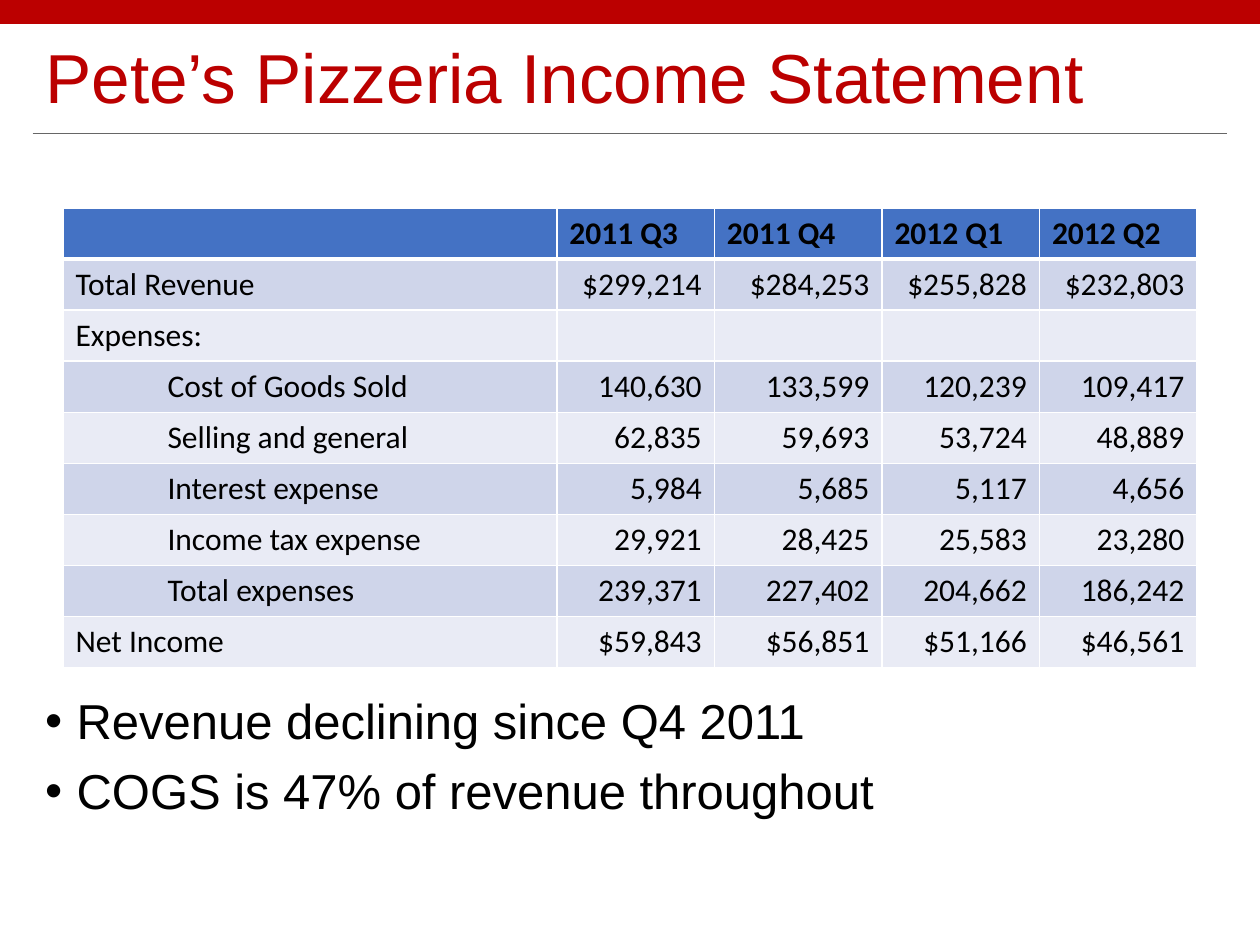
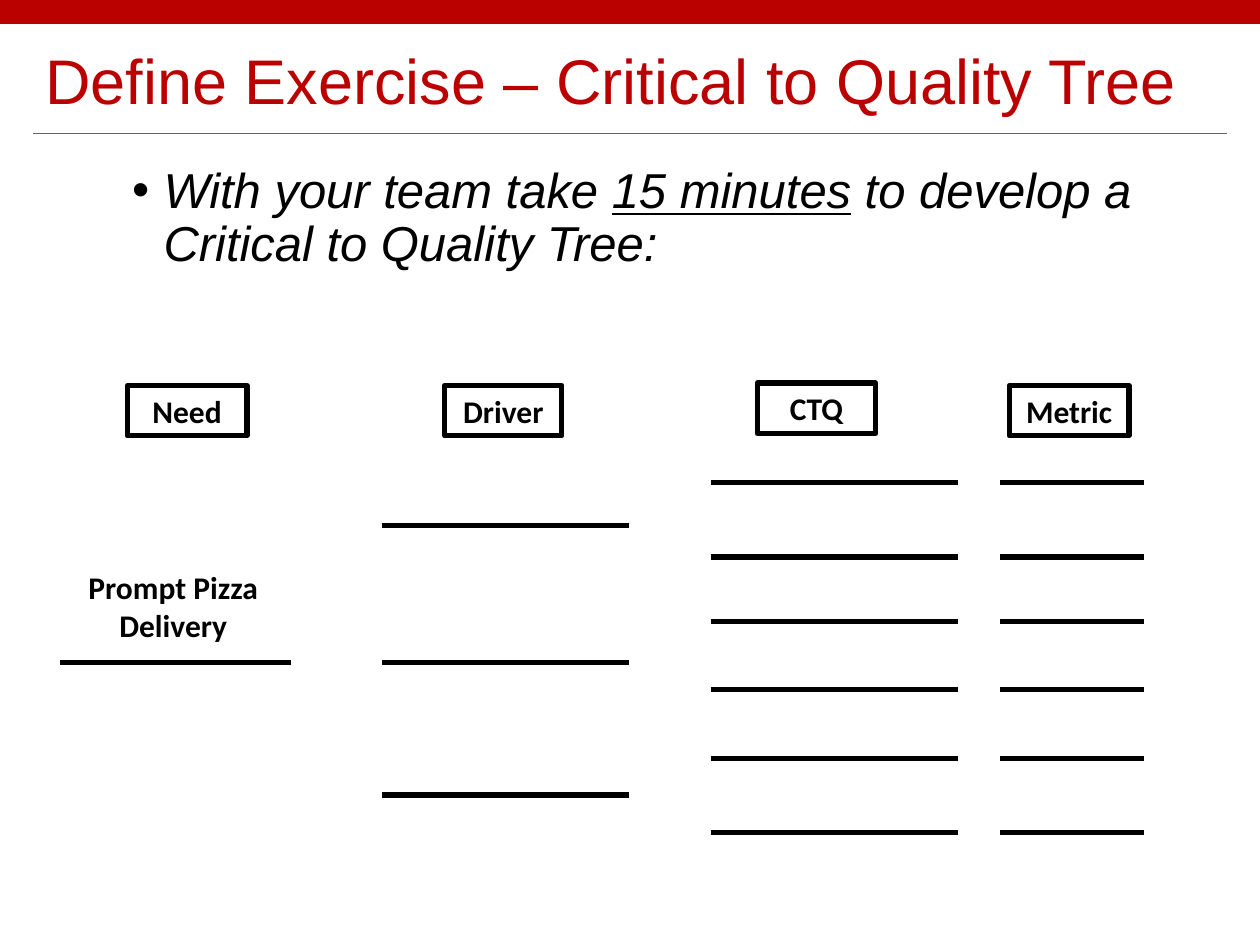
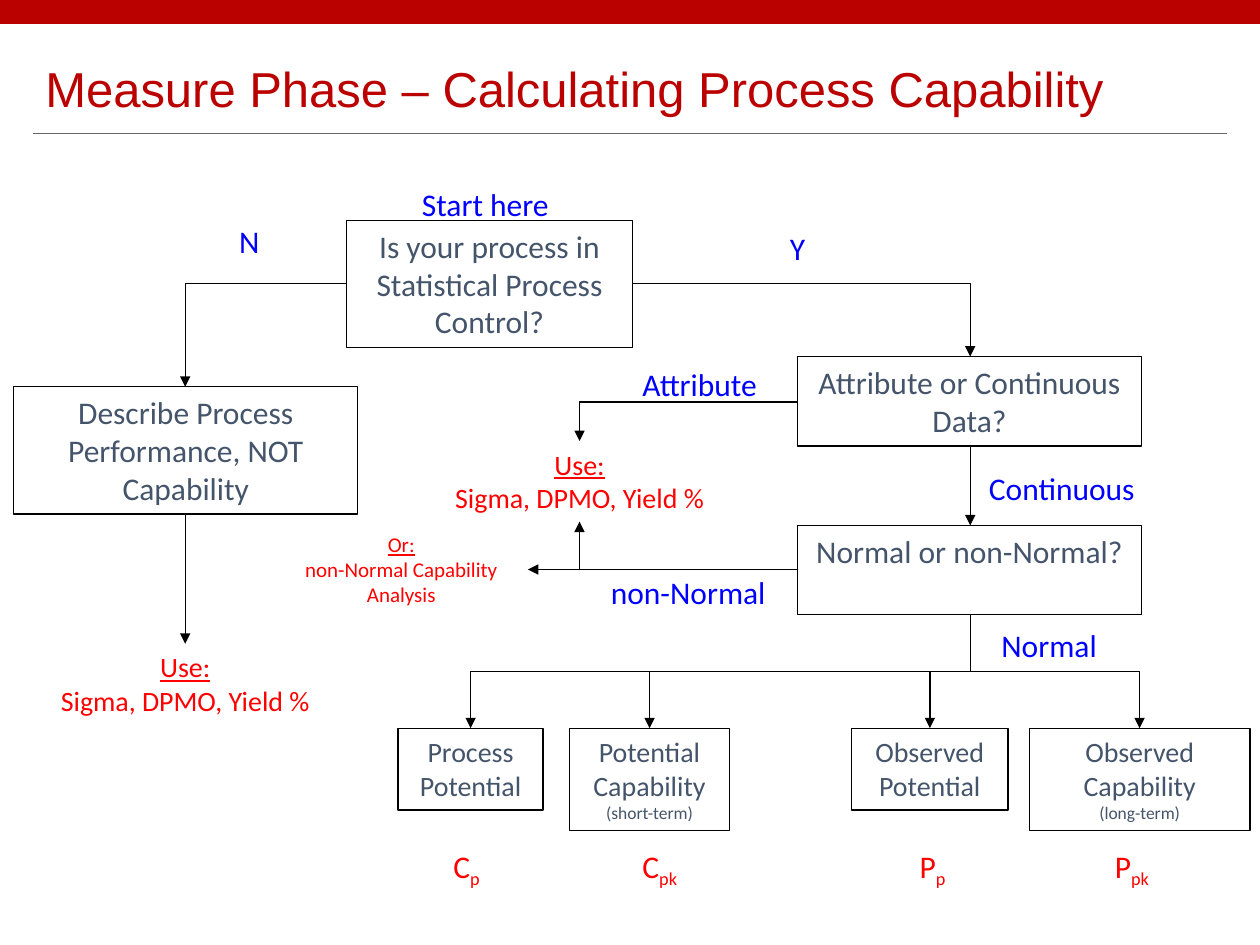
from dataclasses import dataclass
from typing import NamedTuple

from lxml import etree
from pptx import Presentation
from pptx import util as u
from pptx.dml.color import RGBColor
from pptx.enum import shapes, text
from pptx.oxml.ns import qn

# Grid: 100 columns by 75 rows on a 10 by 7.5 inch slide
WIDTH, HEIGHT = u.Inches(10), u.Inches(7.5)
COLS, ROWS = 100, 75

# Shared style
RED, RULE, BLACK, WHITE = "BB0000", "666666", "000000", "FFFFFF"
SLATE, BLUE, ALERT = "44546A", "0000FF", "FF0000"
HEADER, BANDS = "4472C4", ("CFD5EA", "E9EBF5")
HEAD_FONT, BODY_FONT = "Arial", "Calibri"
LEFT, CENTER, RIGHT = text.PP_ALIGN.LEFT, text.PP_ALIGN.CENTER, text.PP_ALIGN.RIGHT


class Box(NamedTuple):
    left: float
    top: float
    width: float
    height: float


class Point(NamedTuple):
    x: float
    y: float


@dataclass
class Run:
    text: str
    size: float | None = None
    underline: bool = False
    sub: bool = False


@dataclass
class Label:
    box: Box
    lines: list
    size: float = 18
    color: str = BLUE
    align: text.PP_ALIGN = LEFT


@dataclass
class TreeColumn:
    name: str
    box: Box
    line_left: float
    line_width: float
    rows: tuple


def col(n: float) -> int:
    return round(WIDTH * n / COLS)


def row(n: float) -> int:
    return round(HEIGHT * n / ROWS)


def place(box: Box) -> tuple:
    return col(box.left), row(box.top), col(box.width), row(box.height)


def rgb(color: str) -> RGBColor:
    return RGBColor.from_string(color)


# Text
def add_bullet(p) -> None:
    pPr = p._p.get_or_add_pPr()
    pPr.set("marL", str(u.Inches(0.25)))
    pPr.set("indent", str(-u.Inches(0.25)))
    etree.SubElement(pPr, qn("a:buFont")).set("typeface", HEAD_FONT)
    etree.SubElement(pPr, qn("a:buChar")).set("char", "•")


def write(tf, lines: list, *, size: float = 18, color: str = BLACK, font: str = BODY_FONT,
          bold: bool = False, italic: bool = False, align=LEFT, bullet: bool = False,
          spacing: float | None = None, before: float = 0) -> None:
    """Write each line, a string or a list of runs, as one paragraph."""
    for i, line in enumerate(lines):
        p = tf.add_paragraph() if i else tf.paragraphs[0]
        p.alignment = align
        if bullet:
            add_bullet(p)
        if spacing:
            p.line_spacing = spacing
        if i and before:
            p.space_before = u.Pt(before)
        for part in [Run(line)] if isinstance(line, str) else line:
            r = p.add_run()
            r.text = part.text
            f = r.font
            f.name, f.size, f.color.rgb = font, u.Pt(part.size or size), rgb(color)
            f.bold, f.italic, f.underline = bold, italic, part.underline
            if part.sub:
                f._element.set("baseline", "-25000")


def add_text(s, box: Box, lines: list, **fmt) -> None:
    tf = s.shapes.add_textbox(*place(box)).text_frame
    tf.word_wrap = True
    write(tf, lines, **fmt)


def add_bullets(s, box: Box, lines: list, **fmt) -> None:
    add_text(s, box, lines, size=28, font=HEAD_FONT, bullet=True, spacing=0.9, before=10, **fmt)


# Shapes and lines
def add_frame(s, box: Box, lines: list, weight: float, **fmt) -> None:
    sp = s.shapes.add_shape(shapes.MSO_SHAPE.RECTANGLE, *place(box))
    sp.shadow.inherit = False
    sp.fill.background()
    sp.line.color.rgb, sp.line.width = rgb(BLACK), u.Pt(weight)
    tf = sp.text_frame
    tf.word_wrap, tf.vertical_anchor = True, text.MSO_ANCHOR.TOP
    write(tf, lines, align=CENTER, **fmt)


def add_line(s, a: Point, b: Point, *, color: str = BLACK, weight: float = 0.75,
             arrow: bool = False, kind=shapes.MSO_CONNECTOR.STRAIGHT):
    c = s.shapes.add_connector(kind, col(a.x), row(a.y), col(b.x), row(b.y))
    c.line.color.rgb, c.line.width = rgb(color), u.Pt(weight)
    spPr = c._element.spPr
    if arrow:
        etree.SubElement(spPr.find(qn("a:ln")), qn("a:tailEnd")).set("type", "triangle")
    etree.SubElement(spPr, qn("a:effectLst"))
    return c


def add_corner(s, a: Point, b: Point) -> None:
    """Arrow that runs across, then up or down."""
    c = add_line(s, a, b, arrow=True, kind=shapes.MSO_CONNECTOR.ELBOW)
    c._element.spPr.find(qn("a:prstGeom")).set("prst", "bentConnector2")


def add_branch(s, a: Point, b: Point) -> None:
    """Arrow that runs down, across at half height, and down again."""
    mid = Point((a.x + b.x) / 2, (a.y + b.y) / 2)
    drop, side = (b.y - a.y) / 2, (a.x - b.x) / 2
    c = add_line(s, Point(mid.x - drop, mid.y - side), Point(mid.x + drop, mid.y + side),
                 arrow=True, kind=shapes.MSO_CONNECTOR.ELBOW)
    c._element.spPr.find(qn("a:xfrm")).set("rot", str(90 * 60000))


# Slide frame: band, rule and title
def new_slide(prs, title: str, size: float):
    s = prs.slides.add_slide(prs.slide_layouts[5])
    add_line(s, Point(2.6, 10.6), Point(97.4, 10.6), color=RULE, weight=0.5)
    band = s.shapes.add_shape(shapes.MSO_SHAPE.RECTANGLE, *place(Box(0, 0, COLS, 1.9)))
    band.shadow.inherit = False
    band.fill.solid()
    band.fill.fore_color.rgb = rgb(RED)
    band.line.fill.background()
    sp = s.shapes.title
    sp.left, sp.top, sp.width, sp.height = place(Box(2.6, 2.6, 94.9, 7.3))
    tf = sp.text_frame
    tf.auto_size, tf.vertical_anchor = text.MSO_AUTO_SIZE.NONE, text.MSO_ANCHOR.BOTTOM
    write(tf, [title], size=size, color=RED, font=HEAD_FONT, spacing=0.9)
    return s


# Slide 1: income statement
QUARTERS = ("", "2011 Q3", "2011 Q4", "2012 Q1", "2012 Q2")
STATEMENT = (
    ("Total Revenue", "$299,214", "$284,253", "$255,828", "$232,803"),
    ("Expenses:", "", "", "", ""),
    ("Cost of Goods Sold", "140,630", "133,599", "120,239", "109,417"),
    ("Selling and general", "62,835", "59,693", "53,724", "48,889"),
    ("Interest expense", "5,984", "5,685", "5,117", "4,656"),
    ("Income tax expense", "29,921", "28,425", "25,583", "23,280"),
    ("Total expenses", "239,371", "227,402", "204,662", "186,242"),
    ("Net Income", "$59,843", "$56,851", "$51,166", "$46,561"),
)
EXPENSE_ROWS = range(3, 8)
TABLE_COLS = (39.2, 12.5, 13.3, 12.5, 12.5)


def style_cell(cell, fill: str, bottom: float) -> None:
    tcPr = cell._tc.get_or_add_tcPr()
    for side, weight in (("L", 1), ("R", 1), ("T", 1), ("B", bottom)):
        ln = etree.SubElement(tcPr, qn(f"a:ln{side}"), w=str(u.Pt(weight)))
        solid = etree.SubElement(ln, qn("a:solidFill"))
        etree.SubElement(solid, qn("a:srgbClr")).set("val", WHITE)
    cell.fill.solid()
    cell.fill.fore_color.rgb = rgb(fill)


def income_slide(prs) -> None:
    s = new_slide(prs, "Pete’s Pizzeria Income Statement", 39.6)
    add_bullets(s, Box(2.6, 54.8, 94.9, 11.5),
                ["Revenue declining since Q4 2011", "COGS is 47% of revenue throughout"])
    data = (QUARTERS, *STATEMENT)
    box = Box(5, 16.5, sum(TABLE_COLS), 36.5)
    table = s.shapes.add_table(len(data), len(QUARTERS), *place(box)).table
    table.horz_banding = False
    for column, width in zip(table.columns, TABLE_COLS):
        column.width = col(width)
    for i, values in enumerate(data):
        for j, value in enumerate(values):
            cell = table.cell(i, j)
            style_cell(cell, BANDS[(i - 1) % 2] if i else HEADER, 1 if i else 3)
            if i in EXPENSE_ROWS and j == 0:
                cell.margin_left = col(8.3)
            if value:
                write(cell.text_frame, [value], bold=i == 0, align=RIGHT if i and j else LEFT)


# Slide 2: critical to quality tree
CTQ_ROWS = (38.3, 44.2, 49.3, 54.7, 60.2, 66.1)
TREE = (
    TreeColumn("Need", Box(10.1, 30.6, 9.5, 4), 4.8, 18.3, (52.6,)),
    TreeColumn("Driver", Box(35.3, 30.6, 9.3, 4), 30.3, 19.6, (41.7, 52.6, 63.1)),
    TreeColumn("CTQ", Box(60.1, 30.4, 9.4, 4), 56.4, 19.6, CTQ_ROWS),
    TreeColumn("Metric", Box(80.1, 30.6, 9.5, 4), 79.4, 11.4, CTQ_ROWS),
)


def tree_slide(prs) -> None:
    s = new_slide(prs, "Define Exercise – Critical to Quality Tree", 36)
    task = [Run("With your team take "), Run("15 minutes", underline=True),
            Run(" to develop a Critical to Quality Tree:")]
    add_bullets(s, Box(9.5, 12.7, 90, 49.5), [task], italic=True)
    for column in TREE:
        add_frame(s, column.box, [column.name], 3, bold=True)
        for y in column.rows:
            add_line(s, Point(column.line_left, y),
                     Point(column.line_left + column.line_width, y), weight=3)
    add_text(s, Box(4.8, 44.6, 17.9, 7.1), ["Prompt Pizza", "Delivery"], bold=True, align=CENTER)


# Slide 3: process capability flow
QUESTIONS = (
    (Box(27.5, 17.5, 22.7, 10.1), "Is your process in Statistical Process Control?"),
    (Box(1.1, 30.7, 27.3, 10.1), "Describe Process Performance, NOT Capability"),
    (Box(63.3, 28.3, 27.3, 7.1), "Attribute or Continuous Data?"),
    (Box(63.3, 41.7, 27.3, 7.1), "Normal or non-Normal?"),
)
INDEX_TOP = 57.8
INDICES = (
    (Box(31.6, INDEX_TOP, 11.5, 6.5), ["Process", "Potential"]),
    (Box(45.2, INDEX_TOP, 12.7, 8.1), ["Potential", "Capability", [Run("(short-term)", 10)]]),
    (Box(67.6, INDEX_TOP, 12.4, 6.5), ["Observed", "Potential"]),
    (Box(81.7, INDEX_TOP, 17.5, 8.1), ["Observed", "Capability", [Run("(long-term)", 10)]]),
)
SYMBOLS = (("C", "p", 35, 4.8), ("C", "pk", 50, 5.8), ("P", "p", 72, 4.7), ("P", "pk", 87.5, 5.6))
USE = [[Run("Use:", underline=True)], "Sigma, DPMO, Yield %"]
OR = [[Run("Or:", underline=True)], "non-Normal Capability", "Analysis"]
LABELS = (
    Label(Box(32.5, 14.2, 13.7, 4), ["Start here"]),
    Label(Box(18, 17.1, 3.8, 4), ["N"]),
    Label(Box(61.7, 17.7, 3.7, 4), ["Y"]),
    Label(Box(50, 28.5, 12.4, 4), ["Attribute"]),
    Label(Box(77.5, 36.7, 15.9, 4), ["Continuous"]),
    Label(Box(47.5, 45, 16, 4), ["non-Normal"]),
    Label(Box(78.5, 49.2, 10.6, 4), ["Normal"]),
    Label(Box(1.8, 51.1, 25.8, 6.4), USE, 16, ALERT, CENTER),
    Label(Box(33.1, 35, 25.8, 6.4), USE, 16, ALERT, CENTER),
    Label(Box(21.7, 41.7, 20.3, 7), OR, 12, ALERT, CENTER),
    *(Label(Box(x, 66.7, width, 4), [[Run(base), Run(sub, sub=True)]], color=ALERT)
      for base, sub, x, width in SYMBOLS),
)
CORNERS = (
    (Point(27.5, 22.5), Point(14.7, 30.7)),
    (Point(50.2, 22.5), Point(77, 28.3)),
    (Point(63.3, 31.9), Point(46, 35)),
    (Point(63.3, 45.2), Point(46, 41.4)),
)
ARROWS = (
    (Point(77, 35.5), Point(77, 41.7)),
    (Point(14.7, 40.8), Point(14.7, 51.1)),
    (Point(63.3, 45.2), Point(41.9, 45.2)),
)


def capability_slide(prs) -> None:
    s = new_slide(prs, "Measure Phase – Calculating Process Capability", 28)
    for box, question in QUESTIONS:
        add_frame(s, box, [question], 0.75, color=SLATE)
    for box, lines in INDICES:
        add_frame(s, box, lines, 0.75, size=16, color=SLATE)
        add_branch(s, Point(77, 48.8), Point(box.left + box.width / 2, INDEX_TOP))
    for a, b in CORNERS:
        add_corner(s, a, b)
    for a, b in ARROWS:
        add_line(s, a, b, arrow=True)
    for label in LABELS:
        add_text(s, label.box, label.lines, size=label.size, color=label.color, align=label.align)


def main() -> None:
    prs = Presentation()
    prs.slide_width, prs.slide_height = WIDTH, HEIGHT
    income_slide(prs)
    tree_slide(prs)
    capability_slide(prs)
    prs.save("out.pptx")


if __name__ == "__main__":
    main()
